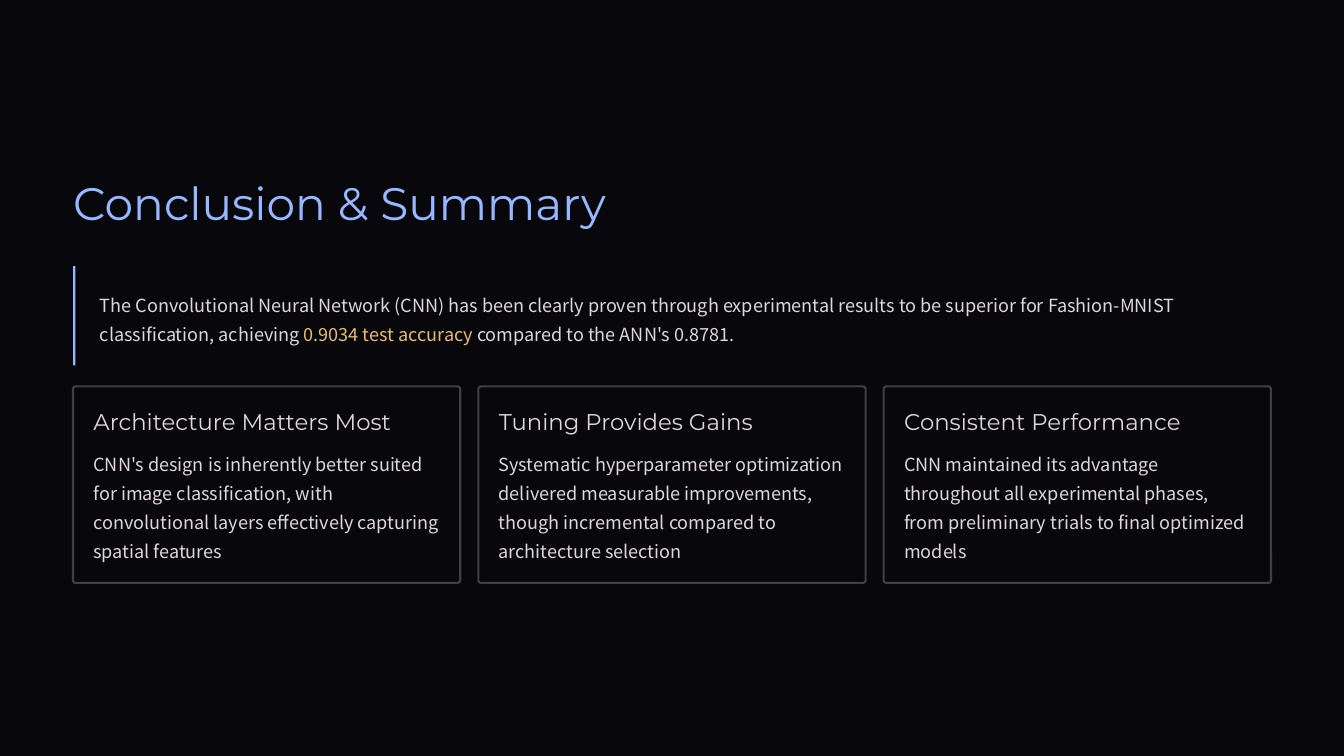
from dataclasses import dataclass

from pptx import Presentation
from pptx.dml.color import RGBColor as RGB
from pptx.enum.shapes import MSO_SHAPE as SHAPE
from pptx.util import Pt


@dataclass(frozen=True)
class Theme:
    background: RGB = RGB.from_string("07070C")
    accent: RGB = RGB.from_string("97B8FF")
    text: RGB = RGB.from_string("E0D6DE")
    highlight: RGB = RGB.from_string("E7BF6A")
    border: RGB = RGB.from_string("3F3F44")
    heading_font: str = "Montserrat"
    body_font: str = "Noto Sans CJK TC"
    title_size: float = 39
    title_leading: float = 48.5
    heading_size: float = 19.5
    heading_leading: float = 24
    body_size: float = 15.5
    body_leading: float = 25


THEME = Theme()
SUMMARY = [
    ("The Convolutional Neural Network (CNN) has been clearly proven through "
     "experimental results to be superior for Fashion-MNIST classification, achieving ",
     THEME.text),
    ("0.9034 test accuracy", THEME.highlight),
    (" compared to the ANN's 0.8781.", THEME.text),
]
CARDS = [
    ("Architecture Matters Most",
     "CNN's design is inherently better suited for image classification, "
     "with convolutional layers effectively capturing spatial features"),
    ("Tuning Provides Gains",
     "Systematic hyperparameter optimization delivered measurable improvements, "
     "though incremental compared to architecture selection"),
    ("Consistent Performance",
     "CNN maintained its advantage throughout all experimental phases, "
     "from preliminary trials to final optimized models"),
]


def add_text(slide, box, parts, font, size, leading, wrap=True):
    """Add one paragraph made of (text, colour) parts, without insets."""
    tf = slide.shapes.add_textbox(*map(Pt, box)).text_frame
    tf.margin_left = tf.margin_top = tf.margin_right = tf.margin_bottom = 0
    tf.word_wrap = wrap
    p = tf.paragraphs[0]
    p.line_spacing = Pt(leading)
    for text, colour in parts:
        r = p.add_run()
        r.text = text
        r.font.name = font
        r.font.size = Pt(size)
        r.font.color.rgb = colour


def add_body(slide, box, parts):
    add_text(slide, box, parts, THEME.body_font, THEME.body_size, THEME.body_leading)


def add_panel(slide, kind, box, fill):
    sp = slide.shapes.add_shape(kind, *map(Pt, box))
    sp.shadow.inherit = False
    sp.fill.solid()
    sp.fill.fore_color.rgb = fill
    sp.line.fill.background()
    return sp


def add_title(slide, box, text):
    add_text(slide, box, [(text, THEME.accent)], THEME.heading_font,
             THEME.title_size, THEME.title_leading, wrap=False)


def add_summary(slide, box, parts):
    """Add a quotation with an accent bar on its left."""
    x, y, w, h = box
    indent, pad = 23, 18
    add_body(slide, (x + indent, y + pad, w - indent, h - 2 * pad), parts)
    add_panel(slide, SHAPE.RECTANGLE, (x, y, 2, h), THEME.accent)


def add_card(slide, box, heading, body):
    x, y, w, h = box
    pad, body_top = 17.5, 51
    inner = w - 2 * pad
    sp = add_panel(slide, SHAPE.ROUNDED_RECTANGLE, box, THEME.background)
    sp.adjustments[0] = 0.014
    sp.line.color.rgb = THEME.border
    sp.line.width = Pt(1.8)
    add_text(slide, (x + pad, y + pad, inner, THEME.heading_leading),
             [(heading, THEME.text)], THEME.heading_font,
             THEME.heading_size, THEME.heading_leading, wrap=False)
    add_body(slide, (x + pad, y + body_top, inner, h - body_top - pad),
             [(body, THEME.text)])


def add_cards(slide, box, cards, gap=15.5):
    """Share the width of the box equally among the cards."""
    x, y, w, h = box
    card_w = (w - gap * (len(cards) - 1)) / len(cards)
    for i, (heading, body) in enumerate(cards):
        add_card(slide, (x + i * (card_w + gap), y, card_w, h), heading, body)


def main():
    prs = Presentation()
    prs.slide_width, prs.slide_height = Pt(1152), Pt(648)
    slide = prs.slides.add_slide(prs.slide_layouts[6])
    slide.background.fill.solid()
    slide.background.fill.fore_color.rgb = THEME.background

    left, width = 62.6, 1026.8
    add_title(slide, (left, 148.3, 461.5, 49), "Conclusion & Summary")
    add_summary(slide, (left, 228.2, width, 85), SUMMARY)
    add_cards(slide, (left, 331.2, width, 168.5), CARDS)
    prs.save("out.pptx")


if __name__ == "__main__":
    main()
